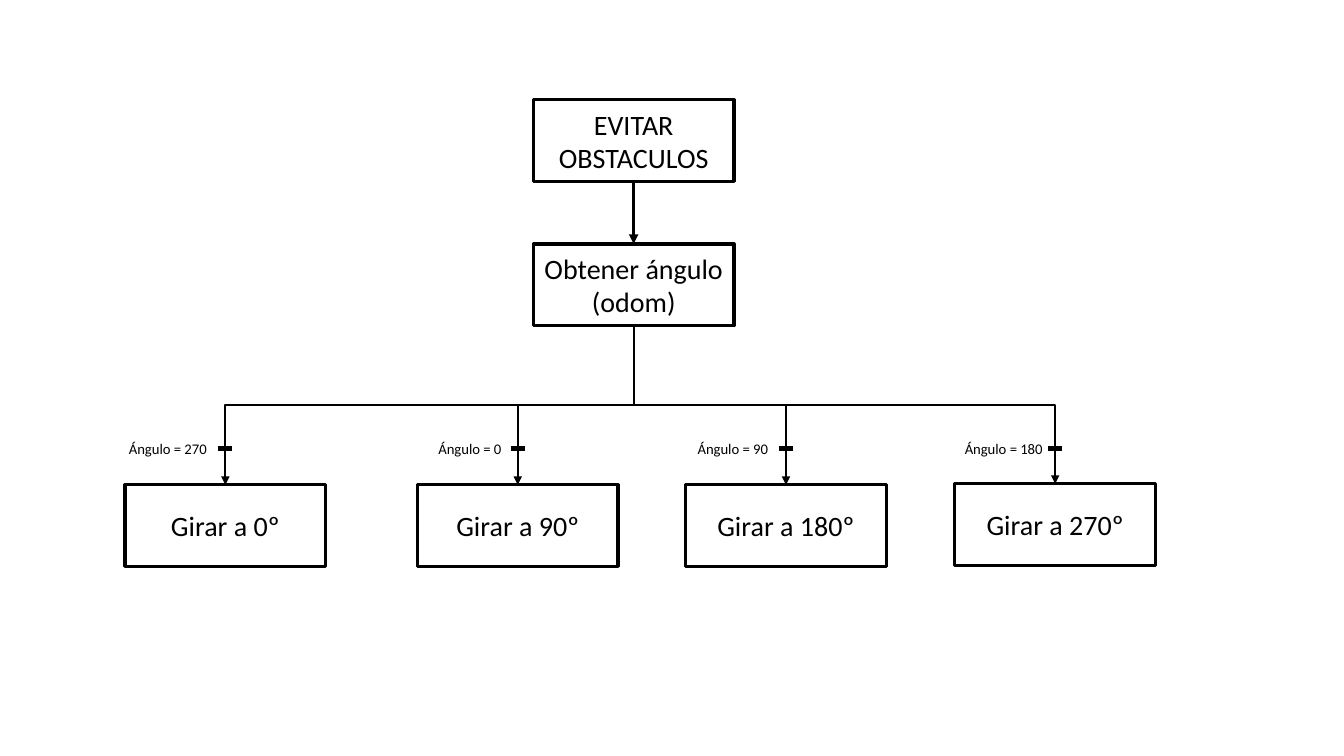
from dataclasses import dataclass

from lxml.etree import SubElement
from pptx import Presentation
from pptx.dml.color import RGBColor
from pptx.enum.shapes import MSO_CONNECTOR as Link, MSO_SHAPE as Preset
from pptx.enum.text import MSO_ANCHOR as Anchor, MSO_AUTO_SIZE as AutoSize, PP_ALIGN as Align
from pptx.oxml.ns import qn
from pptx.util import Inches, Pt


@dataclass(frozen=True)
class Theme:
    ink: RGBColor = RGBColor(0x00, 0x00, 0x00)
    paper: RGBColor = RGBColor(0xFF, 0xFF, 0xFF)
    font: str = "Calibri"
    step_size: float = 20
    condition_size: float = 10.5
    outline: float = 2.25
    branch_line: float = 1.5
    tick_line: float = 3


THEME = Theme()
STEP_W, STEP_H = 1.99, 0.81
ROOT_LEFT = 5.29
CONDITION_TOP, CONDITION_H = 4.31, 0.28
TICK_Y, TICK_HALF = 4.45, 0.07
TOP, BOTTOM = 0, 2  # connection sites of a rectangle

# Turn: text, left, top; condition: text, left, width
BRANCHES = [
    ("Girar a 0º", 1.24, 4.81, "Ángulo = 270", 1.18, 0.99),
    ("Girar a 90º", 4.14, 4.81, "Ángulo = 0", 4.25, 0.84),
    ("Girar a 180º", 6.8, 4.81, "Ángulo = 90", 6.82, 0.91),
    ("Girar a 270º", 9.47, 4.8, "Ángulo = 180", 9.47, 0.99),
]


def write(paragraph, text, size):
    run = paragraph.add_run()
    run.text = text
    run.font.name = THEME.font
    run.font.size = Pt(size)
    run.font.color.rgb = THEME.ink


def add_step(slide, text, left, top):
    step = slide.shapes.add_shape(
        Preset.RECTANGLE, Inches(left), Inches(top), Inches(STEP_W), Inches(STEP_H))
    step.shadow.inherit = False
    step.fill.solid()
    step.fill.fore_color.rgb = THEME.paper
    step.line.color.rgb = THEME.ink
    step.line.width = Pt(THEME.outline)
    frame = step.text_frame
    frame.word_wrap = True
    frame.vertical_anchor = Anchor.MIDDLE
    frame.paragraphs[0].alignment = Align.CENTER
    write(frame.paragraphs[0], text, THEME.step_size)
    return step


def add_condition(slide, text, left, width):
    condition = slide.shapes.add_textbox(
        Inches(left), Inches(CONDITION_TOP), Inches(width), Inches(CONDITION_H))
    frame = condition.text_frame
    frame.word_wrap = False
    frame.auto_size = AutoSize.SHAPE_TO_FIT_TEXT
    write(frame.paragraphs[0], text, THEME.condition_size)


def style_line(line, weight, arrow=False):
    line.line.color.rgb = THEME.ink
    line.line.width = Pt(weight)
    properties = line._element.spPr
    if arrow:
        SubElement(properties.find(qn("a:ln")), qn("a:tailEnd"), type="triangle")
    SubElement(properties, qn("a:effectLst"))


def join_steps(slide, kind, upper, lower, weight):
    arrow = slide.shapes.add_connector(kind, 0, 0, 0, 0)
    arrow.begin_connect(upper, BOTTOM)
    arrow.end_connect(lower, TOP)
    style_line(arrow, weight, arrow=True)
    return arrow


def add_branch(slide, upper, lower):
    """Elbow that leaves downwards, runs sideways and arrives downwards."""
    branch = join_steps(slide, Link.ELBOW, upper, lower, THEME.branch_line)
    across, down = branch.width, branch.height
    middle_x, middle_y = branch.left + across // 2, branch.top + down // 2
    to_right = lower.left > upper.left
    # The frame lies on its side and is turned by a quarter
    branch.left, branch.top = middle_x - down // 2, middle_y - across // 2
    branch.width, branch.height = down, across
    frame = branch._element.spPr.find(qn("a:xfrm"))
    frame.set("rot", str((270 if to_right else 90) * 60000))
    frame.set("flipH", "1" if to_right else "0")


def add_tick(slide, center):
    tick = slide.shapes.add_connector(
        Link.STRAIGHT, Inches(center - TICK_HALF), Inches(TICK_Y),
        Inches(center + TICK_HALF), Inches(TICK_Y))
    style_line(tick, THEME.tick_line)


def main():
    deck = Presentation()
    deck.slide_width, deck.slide_height = Inches(13.33), Inches(7.5)
    slide = deck.slides.add_slide(deck.slide_layouts[6])

    # Main sequence
    avoid = add_step(slide, "EVITAR OBSTACULOS", ROOT_LEFT, 0.99)
    get_angle = add_step(slide, "Obtener ángulo (odom)", ROOT_LEFT, 2.42)
    join_steps(slide, Link.STRAIGHT, avoid, get_angle, THEME.outline)

    # One turn for each angle
    for turn_text, left, top, condition, condition_left, condition_width in BRANCHES:
        turn = add_step(slide, turn_text, left, top)
        add_branch(slide, get_angle, turn)
        add_tick(slide, left + STEP_W / 2)
        add_condition(slide, condition, condition_left, condition_width)

    deck.save("out.pptx")


if __name__ == "__main__":
    main()
